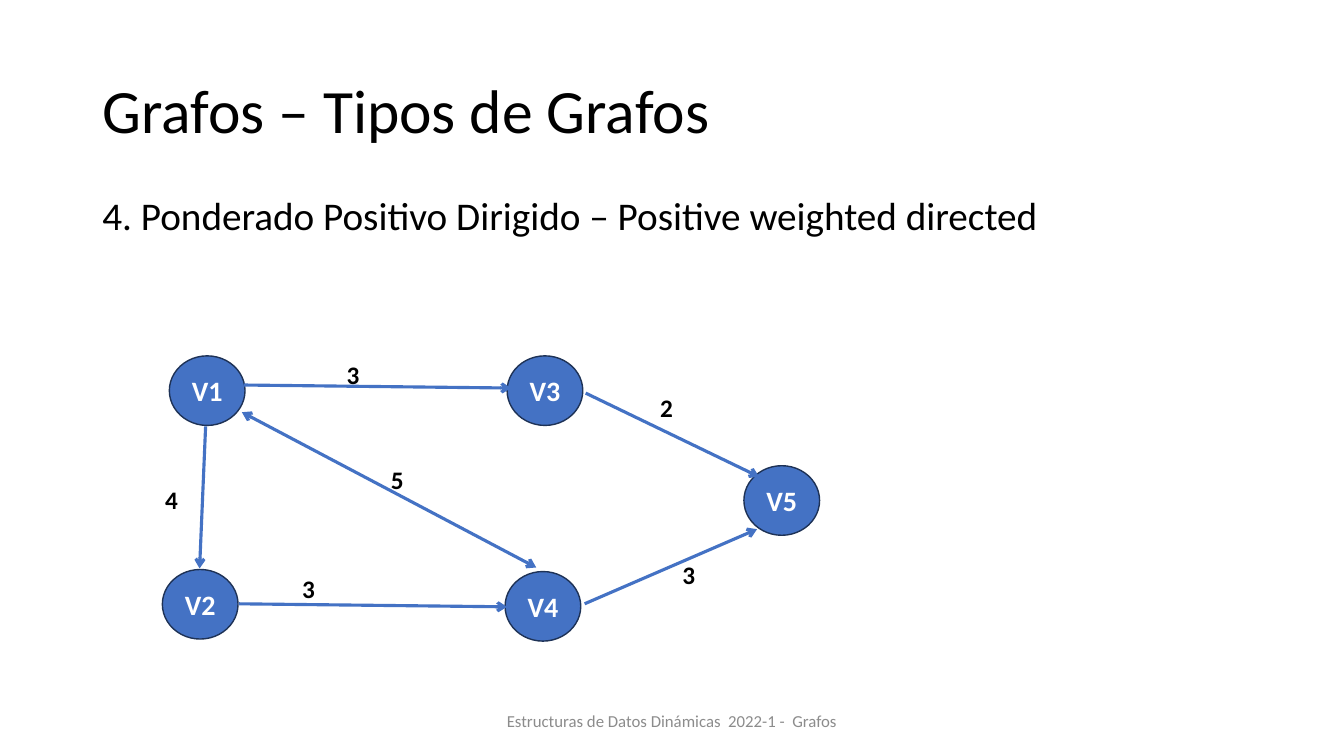
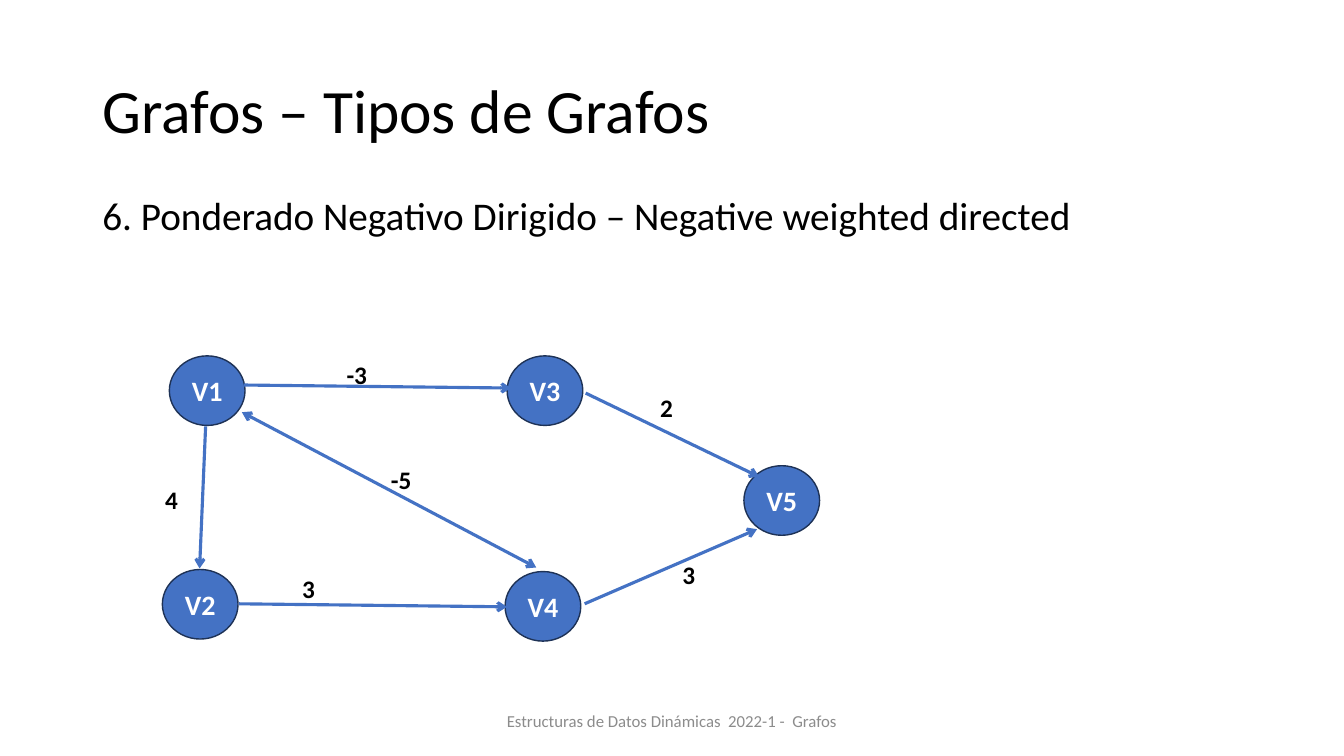
from lxml import etree
from pptx import Presentation
from pptx.dml.color import RGBColor
from pptx.enum.shapes import MSO_CONNECTOR, MSO_SHAPE
from pptx.enum.text import MSO_ANCHOR, PP_ALIGN
from pptx.oxml.ns import qn
from pptx.util import Inches, Pt

STRAIGHT = MSO_CONNECTOR.STRAIGHT
OVAL = MSO_SHAPE.OVAL
TOP, MIDDLE = MSO_ANCHOR.TOP, MSO_ANCHOR.MIDDLE
LEFT, CENTER = PP_ALIGN.LEFT, PP_ALIGN.CENTER

# Shared style
FONT = "Calibri"
BLACK = RGBColor(0x00, 0x00, 0x00)
WHITE = RGBColor(0xFF, 0xFF, 0xFF)
GRAY = RGBColor(0x8C, 0x8C, 0x8C)
BLUE = RGBColor(0x44, 0x72, 0xC4)
NAVY = RGBColor(0x1E, 0x32, 0x56)

SLIDE_W, SLIDE_H = Inches(13.333), Inches(7.5)

# Positions and sizes are percentages of the slide's width and height
CONTENT_W, FOOTER_W = 86.25, 33.75
NODE_SIZE = (5.63, 9.2)
WEIGHT_SIZE = (3.3, 5.33)

TITLE = "Grafos – Tipos de Grafos"
FOOTER = "Estructuras de Datos Dinámicas  2022-1 -  Grafos"

# Vertices: top left corner
NODES = {
    "V1": (12.6, 47.07),
    "V5": (55.35, 61.6),
    "V2": (12.08, 75.33),
    "V4": (37.58, 75.6),
    "V3": (37.73, 47.07),
}

# Edges: start, end, corner of the weight, arrow at both ends
EDGES = {
    "V1-V3": ((18.15, 50.93), (38.03, 51.33), (25.05, 46.93), False),
    "V2-V4": ((17.78, 79.87), (37.73, 80.27), (21.75, 75.2), False),
    "V1-V4": ((18, 54.53), (39.9, 75.07), (28.35, 60.8), True),
    "V3-V5": ((43.58, 52), (56.48, 63.07), (48.38, 51.2), False),
    "V4-V5": ((43.5, 79.87), (56.33, 70), (50.03, 73.33), False),
    "V1-V2": ((15.3, 56.4), (14.85, 75.2), (11.55, 63.47), False),
}

# Each slide: heading and weight of every edge
POSITIVE = {"V1-V3": 3, "V2-V4": 3, "V1-V4": 5,
            "V3-V5": 2, "V4-V5": 3, "V1-V2": 4}
GRAPHS = [
    ("4. Ponderado Positivo Dirigido – Positive weighted directed", POSITIVE),
    ("6. Ponderado Negativo Dirigido – Negative weighted directed",
     {**POSITIVE, "V1-V3": -3, "V1-V4": -5}),
]


def place(x, y):
    return int(SLIDE_W * x / 100), int(SLIDE_H * y / 100)


def centered(width):
    return (100 - width) / 2


def write(sp, text, size, color, bold=False, align=LEFT, anchor=TOP):
    tf = sp.text_frame
    tf.word_wrap = True
    tf.vertical_anchor = anchor
    tf.text = text
    p = tf.paragraphs[0]
    p.alignment = align
    font = p.runs[0].font
    font.name, font.size, font.bold = FONT, Pt(size), bold
    font.color.rgb = color
    return p


def add_text(s, corner, extent, text, size, color=BLACK, **style):
    sp = s.shapes.add_textbox(*place(*corner), *place(*extent))
    return write(sp, text, size, color, **style)


def add_frame(s, heading):
    # Title, heading and footer
    margin = centered(CONTENT_W)
    p = add_text(s, (margin, 5.33), (CONTENT_W, 19.33), TITLE, 44,
                 anchor=MIDDLE)
    p.line_spacing = 0.9
    p = add_text(s, (margin, 25.33), (CONTENT_W, 9.2), heading, 28)
    p.line_spacing = 0.9
    p.space_before = Pt(10)
    add_text(s, (centered(FOOTER_W), 92.67), (FOOTER_W, 5.33), FOOTER, 12,
             GRAY, align=CENTER, anchor=MIDDLE)


def add_node(s, name, corner):
    sp = s.shapes.add_shape(OVAL, *place(*corner), *place(*NODE_SIZE))
    sp.shadow.inherit = False
    sp.fill.solid()
    sp.fill.fore_color.rgb = BLUE
    sp.line.color.rgb = NAVY
    sp.line.width = Pt(1)
    write(sp, name, 20, WHITE, bold=True, align=CENTER, anchor=MIDDLE)


def add_edge(s, start, end, both_ways):
    line = s.shapes.add_connector(STRAIGHT, *place(*start), *place(*end))
    line.line.color.rgb = BLUE
    line.line.width = Pt(2.25)
    # Arrowheads, and no shadow
    ln = line.line._get_or_add_ln()
    for end_tag in ["a:headEnd", "a:tailEnd"] if both_ways else ["a:tailEnd"]:
        etree.SubElement(ln, qn(end_tag), type="arrow")
    etree.SubElement(line._element.spPr, qn("a:effectLst"))


def add_graph(s, weights):
    for name, corner in NODES.items():
        add_node(s, name, corner)
    for start, end, _, both_ways in EDGES.values():
        add_edge(s, start, end, both_ways)
    for edge, (_, _, corner, _) in EDGES.items():
        add_text(s, corner, WEIGHT_SIZE, str(weights[edge]), 18, bold=True)


def main():
    prs = Presentation()
    prs.slide_width, prs.slide_height = SLIDE_W, SLIDE_H
    blank = prs.slide_layouts[6]
    for heading, weights in GRAPHS:
        s = prs.slides.add_slide(blank)
        add_frame(s, heading)
        add_graph(s, weights)
    prs.save("out.pptx")


if __name__ == "__main__":
    main()
